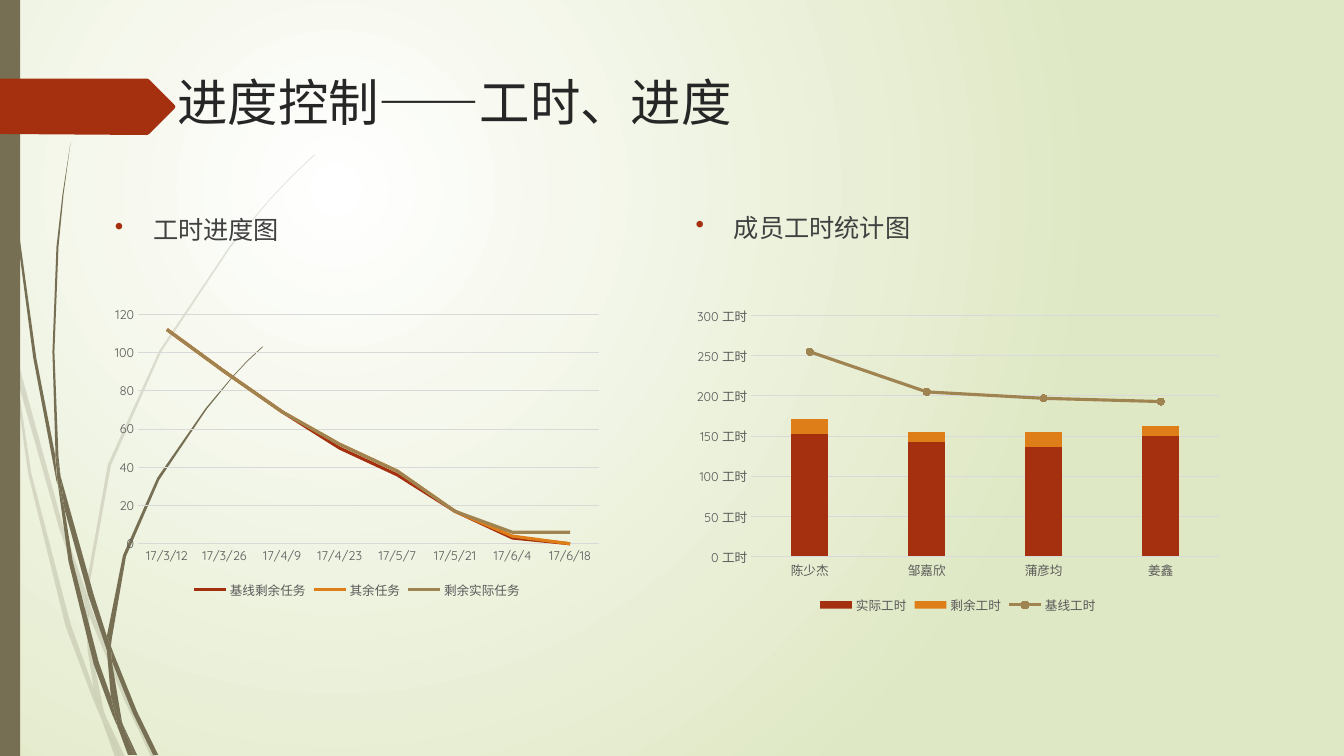
from copy import deepcopy

from lxml.etree import SubElement
from pptx import Presentation
from pptx.chart.data import CategoryChartData
from pptx.dml.color import RGBColor
from pptx.enum.chart import XL_CHART_TYPE as ChartType, XL_LEGEND_POSITION as LegendPosition
from pptx.enum.chart import XL_MARKER_STYLE as MarkerStyle, XL_TICK_MARK as TickMark
from pptx.enum.shapes import MSO_SHAPE as Shape
from pptx.oxml.ns import qn
from pptx.util import Inches, Pt

WIDTH, HEIGHT = 13.33, 7.5
FONT = "Quicksand"
COLORS = {"white": "FFFFFF", "pale_green": "DFE8C4", "olive": "766F54", "red": "A53010",
          "orange": "DE7E18", "tan": "9F8351", "title": "262626", "body": "404040",
          "axis": "595959", "grid": "D9D9D9"}
SERIES_COLORS = ("red", "orange", "tan")

# Outlines as x, y points in hundredths of an inch
PALE_WISPS = [
    [(11, 350), (9, 322), (0, 282), (0, 299), (10, 344)], [(119, 751), (124, 751), (105, 711)],
    [(58, 522), (84, 599), (85, 586), (62, 520), (14, 345), (17, 376)],
    [(92, 607), (88, 596), (88, 610), (123, 694), (150, 751), (155, 751), (127, 692)],
    [(93, 683), (70, 619), (31, 469), (17, 376), (11, 350), (28, 470), (65, 621), (92, 693),
     (101, 714), (99, 707)],
    [(84, 599), (87, 646), (93, 683), (96, 692), (105, 711), (103, 706), (91, 646), (88, 608)],
    [(88, 584), (110, 462), (160, 349), (229, 245), (268, 198), (290, 175), (312, 154),
     (312, 153), (289, 175), (268, 197), (228, 244), (158, 348), (107, 461), (85, 584), (88, 596)],
    [(101, 714), (114, 751), (119, 751)], [(88, 608), (88, 610), (88, 596), (85, 586), (84, 599)],
    [(96, 692), (93, 683), (99, 707), (101, 714), (119, 751), (105, 711)],
]
DARK_WISPS = [
    [(7, 110), (17, 233), (33, 355), (56, 477), (57, 481), (55, 457), (55, 453), (36, 355),
     (19, 232), (8, 109), (5, 48), (4, 0), (3, 0), (4, 48)],
    [(88, 592), (106, 645), (106, 631), (93, 590), (60, 472), (64, 505)],
    [(113, 649), (110, 641), (111, 656), (132, 708), (152, 749), (157, 749), (136, 706)],
    [(110, 691), (98, 657), (72, 556), (64, 505), (57, 477), (68, 557), (93, 659), (111, 708),
     (117, 722), (116, 717)],
    [(60, 472), (58, 453), (54, 349), (58, 245), (63, 193), (70, 141), (62, 193), (56, 245),
     (52, 349), (55, 449)],
    [(133, 749), (136, 749), (122, 719)], [(57, 477), (64, 505), (60, 472), (55, 449), (55, 453)],
    [(111, 633), (125, 552), (158, 476), (205, 406), (231, 374), (245, 359), (261, 344),
     (260, 344), (245, 358), (231, 373), (204, 405), (156, 474), (122, 551), (106, 631), (110, 641)],
    [(117, 722), (127, 749), (131, 749)], [(106, 645), (111, 656), (110, 641), (106, 631)],
    [(106, 645), (110, 691), (116, 706), (122, 719), (121, 716), (111, 656), (109, 651)],
    [(116, 706), (110, 691), (116, 717), (117, 722), (130, 749), (133, 749), (122, 719)],
]
ARROW = [(0, 0), (146, 0), (148, 1), (173, 26), (174, 28), (173, 30), (148, 55), (146, 56), (0, 55)]


def rgb(name):
    return RGBColor.from_string(COLORS[name])


def inches(box):
    return [Inches(length) for length in box]


def set_fill(fill, color):
    fill.solid()
    fill.fore_color.rgb = rgb(color)


def set_line(line, color, width):
    line.width = Pt(width)
    line.color.rgb = rgb(color)


def paint(shape, color, opacity=100):
    shape.shadow.inherit = False
    shape.line.fill.background()
    set_fill(shape.fill, color)
    if opacity < 100:
        color_element = shape.element.spPr.find(".//" + qn("a:srgbClr"))
        SubElement(color_element, qn("a:alpha"), val=str(opacity * 1000))


def draw_outline(slide, left, top, points, color, opacity=100):
    builder = slide.shapes.build_freeform(*points[0], scale=Inches(0.01))
    builder.add_line_segments(points[1:], close=True)
    paint(builder.convert_to_shape(Inches(left), Inches(top)), color, opacity)


def add_background(slide):
    fill = slide.background.fill
    fill.gradient()
    for stop, color in zip(fill.gradient_stops, ("white", "pale_green")):
        stop.color.rgb = rgb(color)
    gradient = slide.element.find(".//" + qn("a:gradFill"))
    for linear in gradient.findall(qn("a:lin")):
        gradient.remove(linear)
    circle = SubElement(gradient, qn("a:path"), path="circle")
    SubElement(circle, qn("a:fillToRect"), l="50000", t="50000", r="100000", b="100000")


def add_decoration(slide, left, top, height):
    # Wisps, side bar and title arrow
    for wisps, opacity in ((PALE_WISPS, 20), (DARK_WISPS, 100)):
        for points in wisps:
            draw_outline(slide, left, top, points, "olive", opacity)
    paint(slide.shapes.add_shape(Shape.RECTANGLE, *inches((left, top, 0.2, height))), "olive")
    draw_outline(slide, left, top + 0.78, ARROW, "red")


def add_text(slide, box, text, size, color):
    text_frame = slide.shapes.add_textbox(*inches(box)).text_frame
    text_frame.word_wrap = True
    text_frame.text = text
    paragraph = text_frame.paragraphs[0]
    font = paragraph.runs[0].font
    font.name, font.size, font.color.rgb = FONT, Pt(size), rgb(color)
    return paragraph


def add_bullet(slide, box, text):
    paragraph = add_text(slide, box, text, 18, "body")
    paragraph.space_before = Pt(10)
    properties = paragraph._p.get_or_add_pPr()
    properties.set("marL", str(Inches(0.38)))
    properties.set("indent", str(-Inches(0.38)))
    SubElement(SubElement(properties, qn("a:buClr")), qn("a:srgbClr"), val=COLORS["red"])
    SubElement(properties, qn("a:buChar"), char="•")


def add_chart(slide, box, chart_type, categories, series, number_format):
    data = CategoryChartData()
    data.categories = categories
    for name, values in series:
        data.add_series(name, values)
    chart = slide.shapes.add_chart(chart_type, *inches(box), data).chart
    chart.has_title, chart.has_legend = False, True
    chart.font.name, chart.font.size, chart.font.color.rgb = FONT, Pt(9), rgb("axis")
    chart.legend.position = LegendPosition.BOTTOM
    chart.legend.include_in_layout = False
    for axis in (chart.category_axis, chart.value_axis):
        axis.major_tick_mark = axis.minor_tick_mark = TickMark.NONE
        axis.format.line.fill.background()
    labels = chart.value_axis.tick_labels
    labels.number_format, labels.number_format_is_linked = number_format, False
    set_line(chart.value_axis.major_gridlines.format.line, "grid", 0.75)
    chart.plots[0].vary_by_categories = False
    return chart


def add_progress_chart(slide, box):
    dates = ["17/3/12", "17/3/26", "17/4/9", "17/4/23", "17/5/7", "17/5/21", "17/6/4", "17/6/18"]
    series = [("基线剩余任务", (112, 90, 69, 50, 36, 17, 3, 0)),
              ("其余任务", (112, 90, 69, 52, 38, 17, 4, 0)),
              ("剩余实际任务", (112, 90, 69, 52, 38, 17, 6, 6))]
    chart = add_chart(slide, box, ChartType.LINE, dates, series, "General")
    for line, color in zip(chart.plots[0].series, SERIES_COLORS):
        set_line(line.format.line, color, 2.25)
        line.smooth, line.marker.style = False, MarkerStyle.NONE


def add_member_chart(slide, box):
    members = ["陈少杰", "邹嘉欣", "蒲彦均", "姜鑫"]
    series = [("实际工时", (152, 142, 136, 150)), ("剩余工时", (19, 13, 19, 13)),
              ("基线工时", (255, 205, 197, 193))]
    chart = add_chart(slide, box, ChartType.COLUMN_STACKED, members, series, '#,##0_ "工时"')
    set_line(chart.category_axis.format.line, "grid", 0.75)
    bars = chart.plots[0]
    bars.gap_width, bars.overlap = 219, 100
    # The baseline series becomes a line on the same axes
    bar_element = bars._element
    baseline = bar_element.findall(qn("c:ser"))[-1]
    for invert in baseline.findall(qn("c:invertIfNegative")):
        baseline.remove(invert)
    line_element = bar_element.makeelement(qn("c:lineChart"))
    bar_element.addnext(line_element)
    SubElement(line_element, qn("c:grouping"), val="standard")
    SubElement(line_element, qn("c:varyColors"), val="0")
    line_element.append(baseline)
    SubElement(line_element, qn("c:marker"), val="1")
    line_element.extend(deepcopy(bar_element.findall(qn("c:axId"))))
    for column, color in zip(bars.series, SERIES_COLORS):
        set_fill(column.format.fill, color)
    line = chart.plots[1].series[0]
    set_line(line.format.line, "tan", 2.25)
    line.smooth, line.marker.style, line.marker.size = False, MarkerStyle.CIRCLE, 5
    set_fill(line.marker.format.fill, "tan")


presentation = Presentation()
presentation.slide_width, presentation.slide_height = Inches(WIDTH), Inches(HEIGHT)
slide = presentation.slides.add_slide(presentation.slide_layouts[6])
add_background(slide)
add_decoration(slide, 0, 0, HEIGHT)
add_text(slide, (1.66, 0.66, 9.75, 1.4), "进度控制——工时、进度", 36, "title")
# Left and right columns
left, right, chart_top = 1.04, 6.8, 2.98
add_bullet(slide, (left, 2.08, 2.99, 4.81), "工时进度图")
add_progress_chart(slide, (left, chart_top, 5, 3))
add_member_chart(slide, (right, chart_top, 5.4, 3.15))
add_bullet(slide, (right, 2.06, 2.99, 4.81), "成员工时统计图")
presentation.save("out.pptx")
